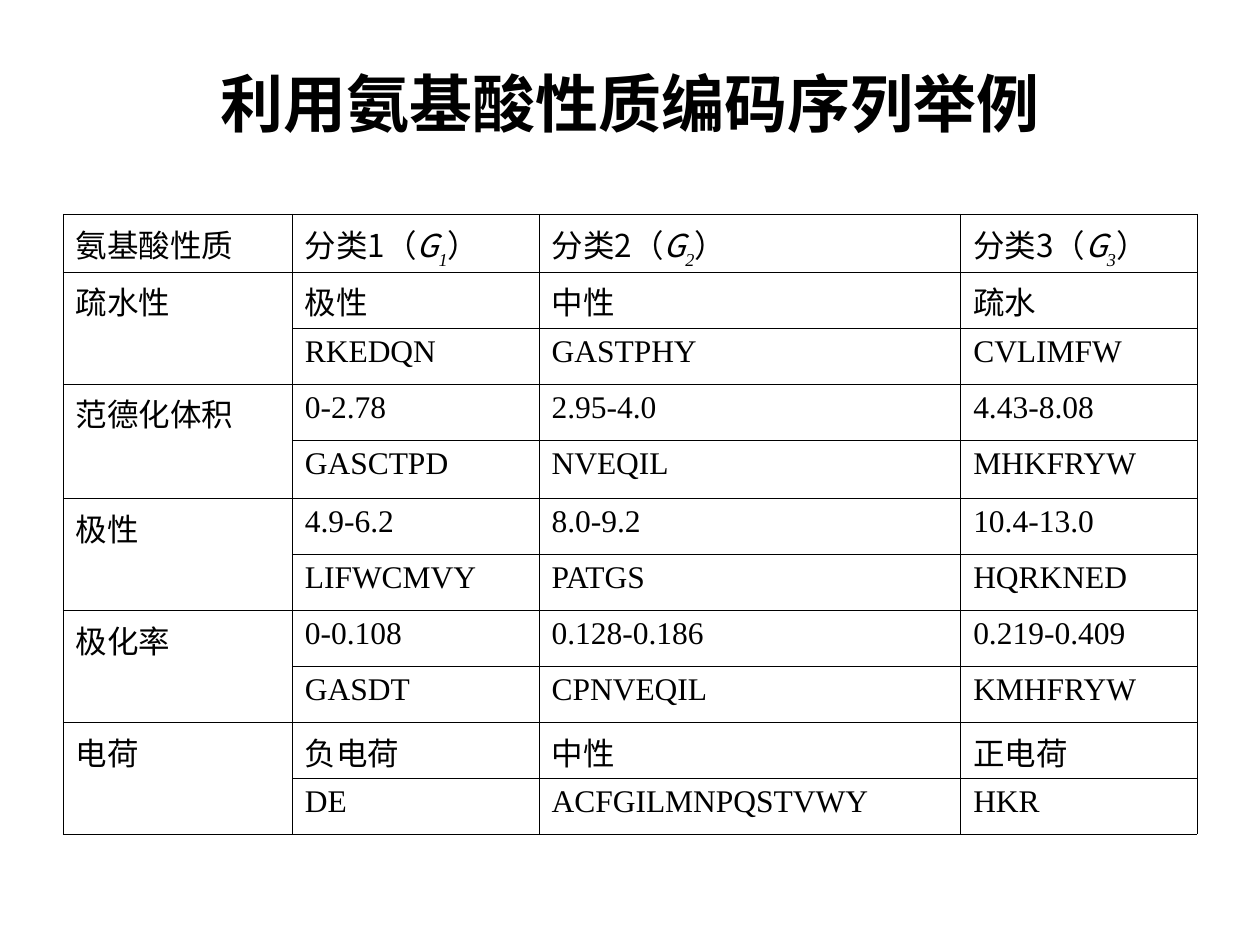
from dataclasses import dataclass
from typing import NamedTuple

import pptx
import pptx.dml.color
import pptx.enum.text
import pptx.oxml.ns
import pptx.util
from lxml import etree

Pt = pptx.util.Pt


@dataclass(frozen=True)
class Theme:
    ink: pptx.dml.color.RGBColor = pptx.dml.color.RGBColor(0, 0, 0)
    latin: str = "Times New Roman"
    chinese: str = "Noto Sans CJK SC"
    title_size: float = 36
    body_size: float = 18
    thin_line: float = 0.34
    header_line: float = 0.45


class Piece(NamedTuple):
    """A stretch of text with one format."""
    text: str
    font: str
    italic: bool = False
    bold: bool = False
    subscript: bool = False


class Property(NamedTuple):
    name: str
    classes: tuple[str, str, str]
    residues: tuple[str, str, str]


THEME = Theme()
TITLE = "利用氨基酸性质编码序列举例"
PROPERTIES = [
    Property("疏水性", ("极性", "中性", "疏水"), ("RKEDQN", "GASTPHY", "CVLIMFW")),
    Property("范德化体积", ("0-2.78", "2.95-4.0", "4.43-8.08"),
             ("GASCTPD", "NVEQIL", "MHKFRYW")),
    Property("极性", ("4.9-6.2", "8.0-9.2", "10.4-13.0"),
             ("LIFWCMVY", "PATGS", "HQRKNED")),
    Property("极化率", ("0-0.108", "0.128-0.186", "0.219-0.409"),
             ("GASDT", "CPNVEQIL", "KMHFRYW")),
    Property("电荷", ("负电荷", "中性", "正电荷"), ("DE", "ACFGILMNPQSTVWY", "HKR")),
]
COLUMN_WIDTHS = [131, 141, 241, 135]
ROW_HEIGHTS = [33, 32, 32, 32, 33.5, 32, 32, 32, 32, 32, 32]


def set_values(target: object, values: dict) -> None:
    for name, value in values.items():
        setattr(target, name, value)


def plain(text: str) -> list[Piece]:
    return [Piece(text, THEME.latin if text.isascii() else THEME.chinese)]


def class_heading(number: int) -> list[Piece]:
    return [
        Piece(f"分类{number}（", THEME.chinese),
        Piece("G", THEME.chinese, italic=True),
        Piece(str(number), THEME.latin, italic=True, subscript=True),
        Piece("）", THEME.latin),
    ]


def write(paragraph, pieces: list[Piece], size: float) -> None:
    for piece in pieces:
        run = paragraph.add_run()
        run.text = piece.text
        run.font.color.rgb = THEME.ink
        set_values(run.font, {"name": piece.font, "size": Pt(size),
                              "bold": piece.bold, "italic": piece.italic})
        properties = run.font._element
        etree.SubElement(properties, pptx.oxml.ns.qn("a:ea"), typeface=THEME.chinese)
        if piece.subscript:
            properties.set("baseline", "-30000")


def set_borders(cell, top: float, bottom: float) -> None:
    properties = cell._tc.get_or_add_tcPr()
    widths = {"L": THEME.thin_line, "R": THEME.thin_line, "T": top, "B": bottom}
    for index, (side, width) in enumerate(widths.items()):
        line = etree.Element(pptx.oxml.ns.qn(f"a:ln{side}"), w=str(int(Pt(width))))
        fill = etree.SubElement(line, pptx.oxml.ns.qn("a:solidFill"))
        etree.SubElement(fill, pptx.oxml.ns.qn("a:srgbClr"), val=str(THEME.ink))
        properties.insert(index, line)


def add_title(slide) -> None:
    frame = slide.shapes.add_textbox(Pt(36), Pt(21.6), Pt(648), Pt(74.2)).text_frame
    set_values(frame, {"word_wrap": True,
                       "vertical_anchor": pptx.enum.text.MSO_ANCHOR.MIDDLE})
    paragraph = frame.paragraphs[0]
    paragraph.alignment = pptx.enum.text.PP_ALIGN.CENTER
    write(paragraph, [Piece(TITLE, THEME.latin, bold=True)], THEME.title_size)


def table_rows() -> list[list[list[Piece]]]:
    rows = [[plain("氨基酸性质"), *map(class_heading, (1, 2, 3))]]
    for entry in PROPERTIES:
        rows.append([plain(entry.name), *map(plain, entry.classes)])
        rows.append([[], *map(plain, entry.residues)])
    return rows


def add_property_table(slide) -> None:
    rows = table_rows()
    table = slide.shapes.add_table(
        len(rows), len(COLUMN_WIDTHS), Pt(36), Pt(122.4),
        Pt(sum(COLUMN_WIDTHS)), Pt(sum(ROW_HEIGHTS))).table
    set_values(table, {"first_row": False, "horz_banding": False})
    for column, width in zip(table.columns, COLUMN_WIDTHS):
        column.width = Pt(width)
    for row, height in zip(table.rows, ROW_HEIGHTS):
        row.height = Pt(height)

    edges = [THEME.thin_line] * (len(rows) + 1)
    for index in (0, 1, len(rows)):
        edges[index] = THEME.header_line
    margins = {"margin_left": Pt(7.2), "margin_right": Pt(7.2),
               "margin_top": Pt(3.6), "margin_bottom": Pt(3.6)}
    for row_index, row in enumerate(rows):
        for column_index, pieces in enumerate(row):
            cell = table.cell(row_index, column_index)
            set_values(cell, margins)
            cell.fill.background()
            set_borders(cell, edges[row_index], edges[row_index + 1])
            write(cell.text_frame.paragraphs[0], pieces, THEME.body_size)
    for first in range(1, len(rows), 2):
        table.cell(first, 0).merge(table.cell(first + 1, 0))


def main() -> None:
    presentation = pptx.Presentation()
    set_values(presentation, {"slide_width": Pt(720), "slide_height": Pt(540)})
    slide = presentation.slides.add_slide(presentation.slide_layouts[6])
    add_title(slide)
    add_property_table(slide)
    presentation.save("out.pptx")


if __name__ == "__main__":
    main()
